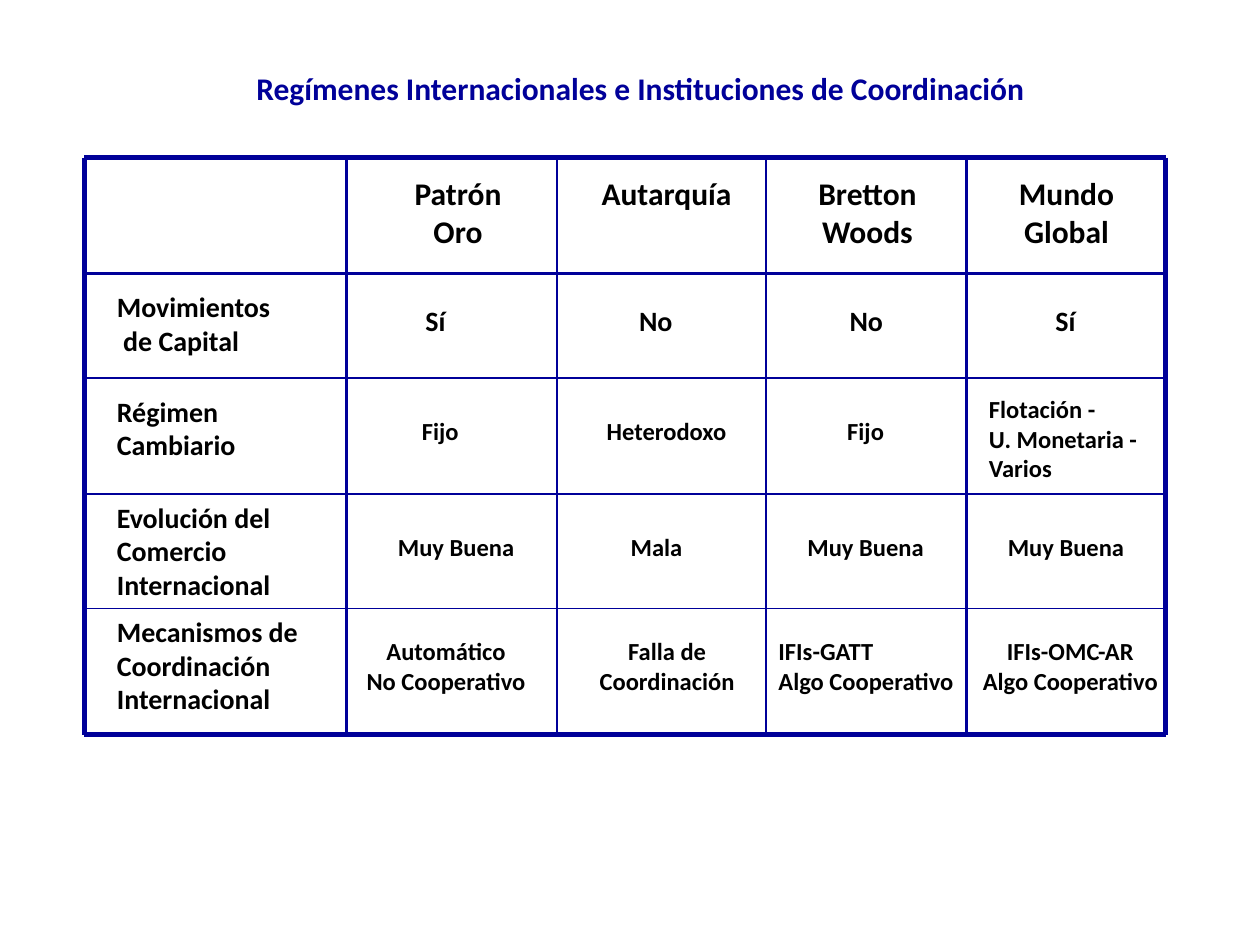
from typing import NamedTuple

from lxml.etree import SubElement
from pptx import Presentation
from pptx.dml.color import RGBColor
from pptx.enum.shapes import MSO_CONNECTOR
from pptx.enum.text import MSO_AUTO_SIZE, PP_ALIGN
from pptx.oxml.ns import qn
from pptx.slide import Slide
from pptx.util import Inches, Pt

COLORS = {"navy": "000099", "black": "000000"}
FONT = "Calibri"
LEFT, RIGHT, TOP, BOTTOM = 0.67, 9.25, 1.25, 5.83
LINE_SPACING = 1.22


class Rule(NamedTuple):
    position: float
    weight: float


class Label(NamedTuple):
    text: str
    left: float
    top: float
    width: float
    size: int
    lines: int = 1
    align: PP_ALIGN = PP_ALIGN.CENTER
    color: str = "black"
    wrap: bool = True


ROW_RULES = [
    Rule(TOP, 3), Rule(2.17, 1.5), Rule(3, 1.5),
    Rule(3.92, 0.75), Rule(4.83, 0.75), Rule(BOTTOM, 3),
]
COLUMN_RULES = [
    Rule(LEFT, 3), Rule(2.75, 1.5), Rule(4.42, 1.5),
    Rule(6.08, 1.5), Rule(7.67, 1.5), Rule(RIGHT, 3),
]

TITLE = Label(
    "Regímenes Internacionales e Instituciones de Coordinación",
    0.75, 0.5, 8.67, 18, color="navy",
)
COLUMN_HEADINGS = [
    Label("Patrón Oro", 3, 1.33, 1.27, 18, 2),
    Label("Autarquía", 4.58, 1.33, 1.42, 18),
    Label("Bretton Woods", 6.25, 1.33, 1.27, 18, 2),
    Label("Mundo\nGlobal", 7.83, 1.33, 1.27, 18, 2),
]
ROW_HEADINGS = [
    Label(text, 0.83, top, 1.83, 16, lines, PP_ALIGN.LEFT)
    for text, top, lines in [
        ("Movimientos\n de Capital", 2.25, 2),
        ("Régimen\nCambiario", 3.08, 2),
        ("Evolución del\nComercio Internacional", 3.92, 3),
        ("Mecanismos de Coordinación Internacional", 4.83, 3),
    ]
]
CAPITAL_MOVEMENTS = [
    Label(text, left, 2.36, width, 16, wrap=False)
    for text, left, width in [
        ("Sí", 3.26, 0.39), ("No", 4.97, 0.47),
        ("No", 6.64, 0.47), ("Sí", 8.26, 0.39),
    ]
]
EXCHANGE_REGIMES = [
    Label("Fijo", 2.83, 3.25, 1.33, 14),
    Label("Heterodoxo", 4.5, 3.25, 1.58, 14),
    Label("Fijo", 6.08, 3.25, 1.58, 14),
    Label("Flotación -\nU. Monetaria -\nVarios", 7.75, 3.08, 1.67, 14, 3, PP_ALIGN.LEFT),
]
TRADE_EVOLUTION = [
    Label(text, left, 4.17, 1.58, 14)
    for text, left in [
        ("Muy Buena", 2.83), ("Mala", 4.42), ("Muy Buena", 6.08), ("Muy Buena", 7.67),
    ]
]
COORDINATION = [
    Label("Automático\nNo Cooperativo", 2.75, 5, 1.58, 14, 2),
    Label("Falla de Coordinación", 4.42, 5, 1.75, 14, 2),
    Label("IFIs-GATT\nAlgo Cooperativo", 6.08, 5, 1.83, 14, 2, PP_ALIGN.LEFT),
    Label("IFIs-OMC-AR\nAlgo Cooperativo", 7.58, 5, 1.83, 14, 2),
]


def draw_line(page: Slide, x1: float, y1: float, x2: float, y2: float, weight: float) -> None:
    line = page.shapes.add_connector(
        MSO_CONNECTOR.STRAIGHT, Inches(x1), Inches(y1), Inches(x2), Inches(y2)
    )
    line.line.color.rgb = RGBColor.from_string(COLORS["navy"])
    line.line.width = Pt(weight)
    SubElement(line._element.spPr, qn("a:effectLst"))


def draw_label(page: Slide, label: Label) -> None:
    height = 0.1 + label.lines * label.size * LINE_SPACING / 72
    box = page.shapes.add_textbox(
        Inches(label.left), Inches(label.top), Inches(label.width), Inches(height)
    )
    frame = box.text_frame
    frame.text = label.text
    frame.word_wrap = label.wrap
    frame.auto_size = MSO_AUTO_SIZE.SHAPE_TO_FIT_TEXT
    for paragraph in frame.paragraphs:
        paragraph.alignment = label.align
        paragraph.font.name = FONT
        paragraph.font.size = Pt(label.size)
        paragraph.font.bold = True
        paragraph.font.color.rgb = RGBColor.from_string(COLORS[label.color])


def main() -> None:
    deck = Presentation()
    deck.slide_width, deck.slide_height = Inches(10), Inches(7.5)
    page = deck.slides.add_slide(deck.slide_layouts[6])
    for rule in ROW_RULES:
        draw_line(page, LEFT, rule.position, RIGHT, rule.position, rule.weight)
    for rule in COLUMN_RULES:
        draw_line(page, rule.position, TOP, rule.position, BOTTOM, rule.weight)
    for label in [
        TITLE, *COLUMN_HEADINGS, *ROW_HEADINGS, *CAPITAL_MOVEMENTS,
        *EXCHANGE_REGIMES, *TRADE_EVOLUTION, *COORDINATION,
    ]:
        draw_label(page, label)
    deck.save("out.pptx")


if __name__ == "__main__":
    main()
